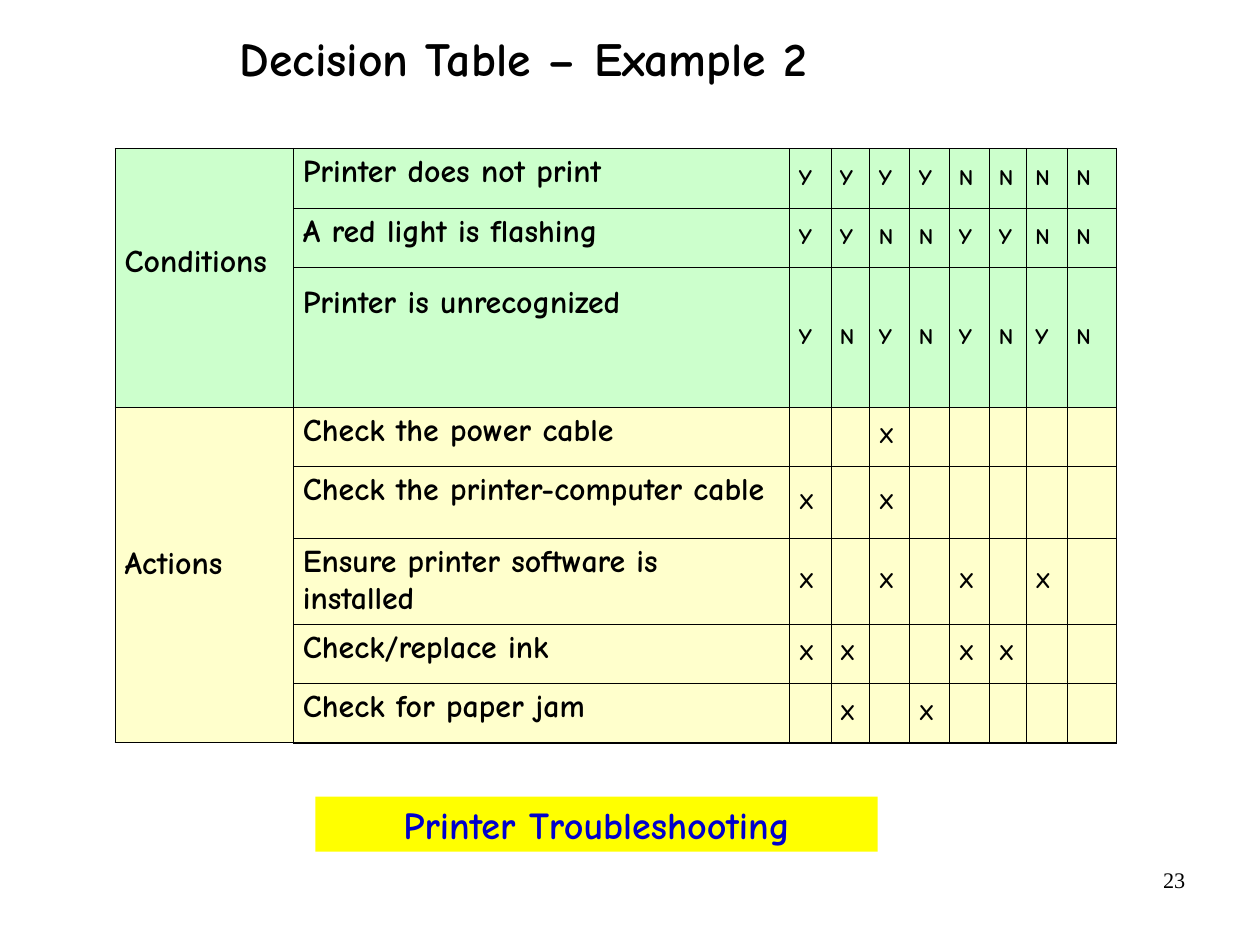
from pptx import Presentation
from pptx.dml.color import RGBColor
from pptx.enum.shapes import MSO_SHAPE
from pptx.enum.text import MSO_ANCHOR, PP_ALIGN
from pptx.oxml import parse_xml
from pptx.oxml.ns import nsdecls
from pptx.util import Inches, Pt

FONT = "Comic Neue"
GREEN, CREAM = "CCFFCC", "FFFFCC"


def color(code):
    return RGBColor.from_string(code)


def write(frame, text, size, ink="000000", font=FONT, bold=True, align=PP_ALIGN.LEFT):
    """Put one run into the first paragraph of the frame and return that paragraph."""
    para = frame.paragraphs[0]
    para.alignment = align
    run = para.add_run()
    run.text = text
    run.font.size = Pt(size)
    run.font.name = font
    run.font.bold = bold
    run.font.color.rgb = color(ink)
    return para


deck = Presentation()
deck.slide_width, deck.slide_height = Pt(793.75), Pt(595.25)
slide = deck.slides.add_slide(deck.slide_layouts[6])
shapes = slide.shapes

# Page number
page = shapes.add_textbox(Inches(7.9), Inches(7.53), Inches(2.57), Inches(0.57))
page.text_frame.word_wrap = True
write(page.text_frame, "23", 14, font="Times New Roman", bold=False, align=PP_ALIGN.RIGHT)

# Title
title = shapes.add_textbox(Inches(1.26), Inches(0.02), Inches(6.64), Inches(1.03))
frame = title.text_frame
frame.word_wrap = True
frame.vertical_anchor = MSO_ANCHOR.MIDDLE
frame.margin_left = frame.margin_right = frame.margin_top = frame.margin_bottom = 0
head = write(frame, "Decision Table – Example 2", 30, align=PP_ALIGN.CENTER)
head.line_spacing = 0.88

# Decision table: text, height, top margin, marks of the eight rules ("." is empty)
rules = [
    ("Printer does not print", 0.52, 0.05, "YYYYNNNN"),
    ("A red light is flashing", 0.52, 0.05, "YYNNYYNN"),
    ("Printer is unrecognized", 1.22, 0.15, "YNYNYNYN"),
    ("Check the power cable", 0.52, 0.05, "..X....."),
    ("Check the printer-computer cable", 0.63, 0.05, "X.X....."),
    ("Ensure printer software is installed", 0.75, 0.05, "X.X.X.X."),
    ("Check/replace ink", 0.52, 0.05, "XX..XX.."),
    ("Check for paper jam", 0.52, 0.05, ".X.X...."),
]
# First row, last row, label, top margin
groups = [(0, 2, "Conditions", 0.83), (3, 7, "Actions", 1.22)]
widths = [1.56, 4.34, 0.36, 0.34, 0.35, 0.35, 0.35, 0.32, 0.36, 0.43]

grid = shapes.add_table(len(rules), len(widths), Inches(1.01), Inches(1.3),
                        Inches(8.75), Inches(5.19)).table
grid.first_row = grid.horz_banding = False
for col, width in zip(grid.columns, widths):
    col.width = Inches(width)

end_row, end_col = len(rules) - 1, len(widths) - 1
for r, (text, height, top, marks) in enumerate(rules):
    grid.rows[r].height = Inches(height)
    for c in range(len(widths)):
        cell = grid.cell(r, c)
        cell.margin_left = cell.margin_right = Inches(0.08)
        cell.margin_top = cell.margin_bottom = Inches(0.05)
        edges = {"L": c == 0, "R": c == end_col, "T": r == 0, "B": r == end_row}
        props = cell._tc.get_or_add_tcPr()
        for side, outer in edges.items():
            line = Pt(1.08 if outer else 0.45)
            props.append(parse_xml(
                f'<a:ln{side} {nsdecls("a")} w="{line}"><a:solidFill>'
                f'<a:srgbClr val="000000"/></a:solidFill></a:ln{side}>'))
        cell.fill.solid()
        cell.fill.fore_color.rgb = color(GREEN if r < 3 else CREAM)
        if c == 1:
            cell.margin_top = Inches(top)
            cell.margin_bottom = Inches(0.02)
            write(cell.text_frame, text, 20)
        elif c > 1 and marks[c - 2] != ".":
            cell.vertical_anchor = MSO_ANCHOR.MIDDLE
            write(cell.text_frame, marks[c - 2], 14)

for first, last, label, top in groups:
    cell = grid.cell(first, 0)
    cell.merge(grid.cell(last, 0))
    cell.margin_top = Inches(top)
    write(cell.text_frame, label, 20)

# Caption
banner = shapes.add_shape(MSO_SHAPE.RECTANGLE, Inches(2.76), Inches(6.97),
                          Inches(4.92), Inches(0.48))
banner.shadow.inherit = False
banner.fill.solid()
banner.fill.fore_color.rgb = color("FFFF00")
banner.line.fill.background()
frame = banner.text_frame
frame.word_wrap = True
frame.vertical_anchor = MSO_ANCHOR.TOP
frame.margin_left = frame.margin_right = Inches(0.08)
frame.margin_top = frame.margin_bottom = Inches(0.04)
write(frame, "Printer Troubleshooting", 24, ink="0000CC", align=PP_ALIGN.CENTER)

deck.save("out.pptx")
